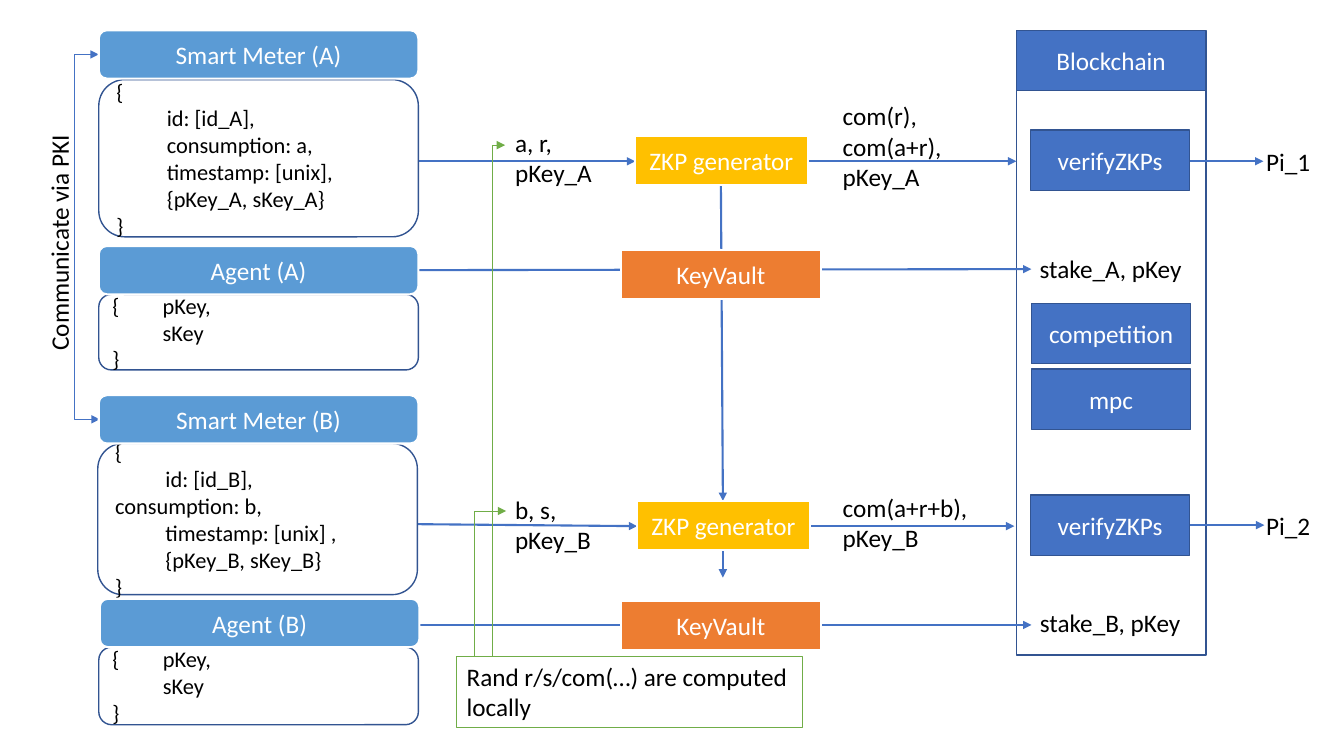
from pptx import Presentation
from pptx.dml.color import RGBColor
from pptx.enum.shapes import MSO_CONNECTOR, MSO_SHAPE
from pptx.enum.text import MSO_ANCHOR, PP_ALIGN
from pptx.oxml.ns import qn
from pptx.util import Inches, Pt
from lxml import etree

RECT, ROUND = MSO_SHAPE.RECTANGLE, MSO_SHAPE.ROUNDED_RECTANGLE
STRAIGHT, ELBOW = MSO_CONNECTOR.STRAIGHT, MSO_CONNECTOR.ELBOW
TOP, MIDDLE = MSO_ANCHOR.TOP, MSO_ANCHOR.MIDDLE
LEFT, CENTER = PP_ALIGN.LEFT, PP_ALIGN.CENTER


class Theme:
    font = "Calibri"
    size, small = 18, 16
    black, white = "000000", "FFFFFF"
    blue, navy, sky = "4472C4", "325491", "5B9BD5"
    gold, orange, green = "FFC000", "ED7D31", "70AD47"


# Cards: title, left, top, body left, body top, body height, body text
CARDS = [
    ("Smart Meter (A)", 0.98, 0.3, 0.98, 0.79, 1.56,
     "{\n\tid: [id_A],\n\tconsumption: a,\n\ttimestamp: [unix],\n\t{pKey_A, sKey_A}\n}"),
    ("Agent (A)", 0.98, 2.44, 0.98, 2.92, 0.75, "{\tpKey,\n\tsKey\n}"),
    ("Smart Meter (B)", 0.98, 3.92, 0.97, 4.4, 1.5,
     "{\n\tid: [id_B],\nconsumption: b,\n\ttimestamp: [unix] ,\n\t{pKey_B, sKey_B}\n}"),
    ("Agent (B)", 0.99, 5.94, 0.98, 6.42, 0.77, "{\tpKey,\n\tsKey\n}"),
]
CARD_W, HEAD_H = 3.17, 0.48

# Solid boxes: kind, text, left, top
STEPS = [
    ("zkp", "ZKP generator", 6.3, 1.35),
    ("zkp", "ZKP generator", 6.32, 4.97),
    ("wallet", "KeyVault", 6.16, 2.48),
    ("wallet", "KeyVault", 6.16, 5.96),
    ("chain", "verifyZKPs", 10.22, 1.29),
    ("chain", "competition", 10.23, 3.01),
    ("chain", "mpc", 10.23, 3.66),
    ("chain", "verifyZKPs", 10.22, 4.91),
]
# Kind: width, height, fill, line, line width
KINDS = {
    "zkp": (1.71, 0.49, Theme.gold, Theme.white, 1.5),
    "wallet": (1.98, 0.49, Theme.orange, Theme.white, 1.5),
    "chain": (1.58, 0.6, Theme.blue, Theme.navy, 1),
}

# Labels: text, box, alignment, rotation
LABELS = [
    ("a, r,\npKey_A", (5.01, 1.21, 1.22, 0.71), LEFT, 0),
    ("b, s,\npKey_B", (5.01, 4.85, 1.57, 0.71), LEFT, 0),
    ("com(r),\ncom(a+r),\npKey_A", (8.26, 0.95, 1.22, 1.01), LEFT, 0),
    ("com(a+r+b),\npKey_B", (8.26, 4.83, 1.57, 0.71), LEFT, 0),
    ("stake_A, pKey", (10.08, 2.46, 1.87, 0.4), CENTER, 0),
    ("stake_B, pKey", (10.07, 5.98, 1.88, 0.4), CENTER, 0),
    ("Pi_1", (12.46, 1.4, 0.74, 0.4), LEFT, 0),
    ("Pi_2", (12.46, 5.01, 0.74, 0.4), LEFT, 0),
    ("Communicate via PKI", (-0.74, 2.05, 2.65, 0.4), LEFT, 270),
]
NOTE = "Rand r/s/com(…) are computed locally"

# Straight arrows: start x, start y, end x, end y
FLOWS = [
    (4.16, 1.6, 6.3, 1.6), (8.01, 1.6, 10.08, 1.6), (11.8, 1.6, 12.53, 1.6),
    (4.14, 5.2, 6.32, 5.22), (8.03, 5.22, 10.06, 5.22), (11.8, 5.21, 12.54, 5.21),
    (4.15, 2.68, 10.23, 2.67), (4.15, 6.2, 10.23, 6.2),
    (7.15, 1.84, 7.17, 4.97), (7.17, 5.46, 7.17, 5.73),
]
# Bent arrows: ends, position of the bend as a share of the width, colour, heads
BENDS = [
    ((4.7, 7.08, 5.02, 5.07), 0, Theme.green, ("tailEnd",)),
    ((4.88, 6.82, 5.01, 1.44), 0, Theme.green, ("tailEnd",)),
    ((0.98, 0.54, 0.99, 4.16), -25, Theme.blue, ("headEnd", "tailEnd")),
]

deck = Presentation()
deck.slide_width, deck.slide_height = Inches(13.33), Inches(7.5)
slide = deck.slides.add_slide(deck.slide_layouts[6])
shapes = slide.shapes


def rgb(code):
    return RGBColor.from_string(code)


def write(shape, text, color, size=Theme.size, align=CENTER, anchor=MIDDLE):
    frame = shape.text_frame
    frame.word_wrap, frame.vertical_anchor = True, anchor
    frame.text = text
    style = {"name": Theme.font, "size": Pt(size)}
    for para in frame.paragraphs:
        para.alignment = align
        for key, value in style.items():
            setattr(para.font, key, value)
        para.font.color.rgb = rgb(color)


def box(form, area, fill, line, width):
    shape = shapes.add_shape(form, *map(Inches, area))
    shape.shadow.inherit = False
    if fill:
        shape.fill.solid()
        shape.fill.fore_color.rgb = rgb(fill)
    else:
        shape.fill.background()
    shape.line.color.rgb = rgb(line)
    shape.line.width = Pt(width)
    return shape


def arrow(form, ends, color, width, heads=("tailEnd",)):
    link = shapes.add_connector(form, *map(Inches, ends))
    link.line.color.rgb = rgb(color)
    link.line.width = Pt(width)
    props = link._element.spPr
    for head in heads:
        etree.SubElement(props.find(qn("a:ln")), qn("a:" + head), type="triangle")
    etree.SubElement(props, qn("a:effectLst"))
    return link


# Blockchain panel
box(RECT, (10.08, 0.9, 1.88, 5.6), None, Theme.navy, 1)
panel = box(RECT, (10.08, 0.3, 1.88, 0.6), Theme.blue, Theme.navy, 1)
write(panel, "Blockchain", Theme.white)

# Arrows
for ends in FLOWS:
    arrow(STRAIGHT, ends, Theme.blue, 1.5)
for ends, bend, color, heads in BENDS:
    link = arrow(ELBOW, ends, color, 0.5, heads)
    guides = link._element.spPr.find(qn("a:prstGeom")).get_or_add_avLst()
    etree.SubElement(guides, qn("a:gd"), name="adj1", fmla=f"val {bend * 100000}")

# Meter and agent cards
for title, x, y, left, top, high, text in CARDS:
    body = box(ROUND, (left, top, CARD_W, high), None, Theme.navy, 1)
    write(body, text, Theme.black, Theme.small, LEFT)
for title, x, y, *rest in CARDS:
    head = box(ROUND, (x, y, CARD_W, HEAD_H), Theme.sky, Theme.white, 1.5)
    write(head, title, Theme.white)

# Steps
for kind, text, x, y in STEPS:
    wide, high, *paint = KINDS[kind]
    write(box(RECT, (x, y, wide, high), *paint), text, Theme.white)

# Note and labels
note = box(RECT, (4.53, 6.51, 3.43, 0.71), Theme.white, Theme.green, 0.75)
write(note, NOTE, Theme.black, align=LEFT, anchor=TOP)
for text, area, align, turn in LABELS:
    label = shapes.add_textbox(*map(Inches, area))
    label.rotation = turn
    write(label, text, Theme.black, align=align, anchor=TOP)

deck.save("out.pptx")
